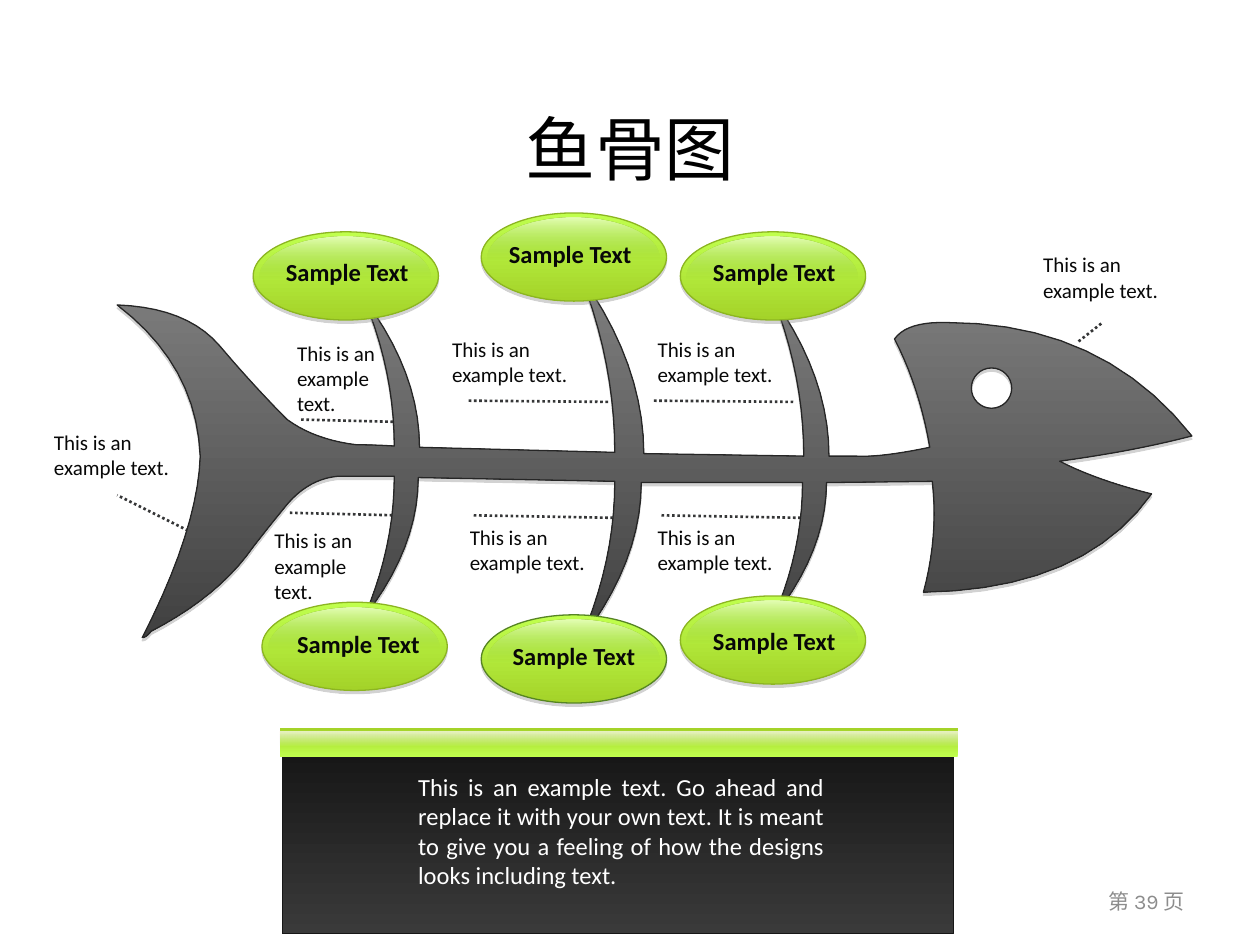
import math

import lxml.etree
import pptx
import pptx.dml.color
import pptx.enum.dml
import pptx.enum.shapes
import pptx.enum.text
import pptx.oxml.ns
import pptx.util

Inches, Pt = pptx.util.Inches, pptx.util.Pt
PP_ALIGN, MSO_ANCHOR = pptx.enum.text.PP_ALIGN, pptx.enum.text.MSO_ANCHOR
OVAL = pptx.enum.shapes.MSO_SHAPE.OVAL
RECTANGLE = pptx.enum.shapes.MSO_SHAPE.RECTANGLE

TITLE = "鱼骨图"
PAGE = "第 39 页"
CAPTION = "This is an example text."
LABEL = "Sample Text"
SUMMARY = ("This is an example text. Go ahead and replace it with your own text. "
           "It is meant to give you a feeling of how the designs looks including text.")

WIDE, NARROW = (1.28, 0.51), (1, 0.71)
CAPTIONS = [
    (0.33, 3.36, WIDE), (8.18, 1.95, WIDE),
    (2.26, 2.65, NARROW), (3.49, 2.62, WIDE), (5.12, 2.62, WIDE),
    (2.08, 4.14, NARROW), (3.63, 4.11, WIDE), (5.12, 4.11, WIDE),
]
LEADERS = [
    (2.39, 3.33, 3.23, 3.35), (3.72, 3.18, 4.84, 3.19), (5.19, 3.18, 6.31, 3.19),
    (2.3, 4.07, 3.14, 4.09), (3.76, 4.09, 4.88, 4.11), (5.25, 4.09, 6.37, 4.11),
    (8.56, 2.71, 8.75, 2.56), (1.53, 4.23, 0.93, 3.93),
]
BUBBLES = [
    ((2.01, 1.84), (2.17, 1.99), "8CB522"),
    ((3.82, 1.69), (3.94, 1.85), "8CB522"),
    ((5.4, 1.84), (5.56, 1.99), "8CB522"),
    ((2.08, 4.78), (2.26, 4.94), "8CB522"),
    ((3.82, 4.88), (3.97, 5.04), "568424"),
    ((5.4, 4.73), (5.56, 4.92), "8CB522"),
]

NOSE = (9.46, 3.46)
UPPER_HEAD = [
    ((8.75, 2.56), (7.52, 2.56)), ((7.2, 2.55), (7.1, 2.69)),
    ((7.3, 3.08), (7.38, 3.55)), ((7, 3.63), (6.8, 3.62)),
]
UPPER_BONES = [
    ((6.58, 3.62), (6.14, 2.37), (6.38, 3.62)),
    ((5.11, 3.6), (4.61, 2.19), (4.88, 3.59)),
    ((3.33, 3.55), (2.89, 2.37), (3.13, 3.54)),
]
TAIL = [
    ((2.98, 3.53), (2.83, 3.53)), ((2.5, 3.49), (2.28, 3.33)),
    ((2.02, 3.07), (1.74, 2.74)), ((1.48, 2.44), (0.93, 2.42)),
    ((1.56, 2.9), (1.59, 3.62)), ((1.57, 4.2), (1.13, 5.06)),
    ((1.16, 5.06), (1.2, 5.01)), ((1.74, 4.73), (2.01, 4.34)),
    ((2.15, 4.16), (2.29, 3.99)), ((2.46, 3.8), (2.68, 3.78)),
]
LOWER_BONES = [
    ((3.13, 3.78), (2.89, 4.9), (3.32, 3.79)),
    ((4.88, 3.82), (4.61, 5.08), (5.09, 3.83)),
    ((6.37, 3.83), (6.14, 4.9), (6.56, 3.83)),
]
JAW = (7.4, 3.82)
LOWER_HEAD = [
    ((7.45, 4.25), (7.33, 4.7)), ((8.6, 4.68), (9.14, 3.92)),
    ((8.7, 3.81), (8.41, 3.66)), ((9, 3.58), NOSE),
]
EYE_X, EYE_Y, EYE_RADIUS, EYE_SIDES = 7.87, 3.08, 0.16, 32
CURVE_STEPS = 10


def rgb(value):
    return pptx.dml.color.RGBColor.from_string(value)


def add_xml(parent, tag, **attributes):
    return lxml.etree.SubElement(parent, pptx.oxml.ns.qn(tag), attributes)


def style(shape, start, end, angle=270, outline=None, shadow=False, reach=1):
    shape.shadow.inherit = False
    shape.fill.gradient()
    shape.fill.gradient_angle = angle
    properties = shape._element.spPr
    for stop, position, (color, _) in zip(shape.fill.gradient_stops, (0, reach), (start, end)):
        stop.position = position
        stop.color.rgb = rgb(color)
    colors = properties.iter(pptx.oxml.ns.qn("a:srgbClr"))
    for element, (_, opacity) in zip(list(colors), (start, end)):
        add_xml(element, "a:alpha", val=str(opacity * 1000))
    if outline:
        shape.line.color.rgb = rgb(outline)
        shape.line.width = Pt(0.75)
    else:
        shape.line.fill.background()
    if shadow:
        effects = properties.find(pptx.oxml.ns.qn("a:effectLst"))
        outer = add_xml(effects, "a:outerShdw", blurRad="0", dist=str(Pt(1.8)),
                        dir="5400000", algn="t", rotWithShape="0")
        add_xml(add_xml(outer, "a:srgbClr", val="808080"), "a:alpha", val="35000")


def write(frame, text, size, color, font="Calibri", bold=False, align=PP_ALIGN.LEFT):
    frame.word_wrap = True
    paragraph = frame.paragraphs[0]
    paragraph.text = text
    paragraph.alignment = align
    paragraph.font.size = Pt(size)
    paragraph.font.name = font
    paragraph.font.bold = bold
    paragraph.font.color.rgb = rgb(color)


def add_text(shapes, box, *args, anchor=MSO_ANCHOR.TOP, **kwargs):
    frame = shapes.add_textbox(*map(Inches, box)).text_frame
    frame.vertical_anchor = anchor
    write(frame, *args, **kwargs)


def add_shape(shapes, kind, box, *args, **kwargs):
    style(shapes.add_shape(kind, *map(Inches, box)), *args, **kwargs)


def add_leader(shapes, ends):
    leader = shapes.add_connector(pptx.enum.shapes.MSO_CONNECTOR.STRAIGHT, *map(Inches, ends))
    leader.line.color.rgb = rgb("353637")
    leader.line.width = Pt(1.5)
    leader.line.dash_style = pptx.enum.dml.MSO_LINE.ROUND_DOT
    add_xml(leader._element.spPr, "a:effectLst")


def curve(start, control, end):
    points = []
    for step in range(1, CURVE_STEPS + 1):
        t = step / CURVE_STEPS
        points.append(tuple((1 - t) ** 2 * a + 2 * t * (1 - t) * b + t ** 2 * c
                            for a, b, c in zip(start, control, end)))
    return points


def trace(start, curves):
    points = [start]
    for control, end in curves:
        points += curve(points[-1], control, end)
    return points


def bone(first_root, tip, last_root):
    bends = [(root[0], (root[1] + tip[1]) / 2) for root in (first_root, last_root)]
    return trace(first_root, [(bends[0], tip), (bends[1], last_root)])


def add_fish(shapes):
    outline = trace(NOSE, UPPER_HEAD)
    for roots in UPPER_BONES:
        outline += bone(*roots)
    outline += trace(outline[-1], TAIL)
    for roots in LOWER_BONES:
        outline += bone(*roots)
    outline += trace(JAW, LOWER_HEAD)
    turns = [2 * math.pi * side / EYE_SIDES for side in range(EYE_SIDES)]
    eye = [(EYE_X + EYE_RADIUS * math.cos(turn), EYE_Y + EYE_RADIUS * math.sin(turn))
           for turn in turns]
    body, pupil = [[(Inches(x), Inches(y)) for x, y in ring] for ring in (outline, eye)]
    builder = shapes.build_freeform(*body[0])
    builder.add_line_segments(body[1:])
    builder.move_to(*pupil[0])
    builder.add_line_segments(pupil[1:])
    style(builder.convert_to_shape(), ("7F7F7F", 100), ("404040", 100),
          outline="262626", shadow=True)


def add_bubble(shapes, corner, label_corner, outline):
    left, top = corner
    bubble = shapes.add_group_shape().shapes
    add_shape(bubble, OVAL, (left, top, 1.47, 0.7), ("C0FF4D", 100), ("A4D329", 100),
              outline=outline, shadow=True)
    add_shape(bubble, OVAL, (left + 0.05, top + 0.04, 1.36, 0.65),
              ("FFFFFF", 59), ("70AC2E", 0), reach=0.52)
    add_text(shapes, (*label_corner, 1.25, 0.34), LABEL, 14, "080808", bold=True)


def add_summary(shapes):
    panel = shapes.add_group_shape().shapes
    add_shape(panel, RECTANGLE, (2.24, 5.98, 5.33, 1.43),
              ("3A3A3A", 100), ("171717", 100), angle=90, outline="171717")
    add_shape(panel, RECTANGLE, (2.22, 5.78, 5.38, 0.23),
              ("C0FF4D", 100), ("A4D329", 100), angle=90)
    add_shape(panel, RECTANGLE, (2.22, 5.81, 5.38, 0.11),
              ("F3F3F3", 0), ("FFFCF9", 79), angle=90)
    add_text(panel, (3.22, 6.03, 3.42, 1.08), SUMMARY, 14, "FFFFFF",
             align=PP_ALIGN.JUSTIFY, anchor=MSO_ANCHOR.BOTTOM)


def main():
    deck = pptx.Presentation()
    deck.slide_width, deck.slide_height = Inches(10), Inches(7.5)
    slide = deck.slides.add_slide(deck.slide_layouts[5])
    shapes, title = slide.shapes, slide.shapes.title
    title.left, title.top, title.width, title.height = map(Inches, (0.5, 0.78, 9, 0.78))
    title.text_frame.vertical_anchor = MSO_ANCHOR.MIDDLE
    write(title.text_frame, TITLE, 40, "000000", font="Karla", align=PP_ALIGN.CENTER)
    add_text(shapes, (7.17, 6.95, 2.33, 0.4), PAGE, 12, "8C8C8C", font="Karla",
             align=PP_ALIGN.RIGHT, anchor=MSO_ANCHOR.MIDDLE)
    for ends in LEADERS:
        add_leader(shapes, ends)
    for left, top, size in CAPTIONS:
        add_text(shapes, (left, top, *size), CAPTION, 12, "080808")
    add_fish(shapes)
    for bubble in BUBBLES:
        add_bubble(shapes, *bubble)
    add_summary(shapes)
    deck.save("out.pptx")


if __name__ == "__main__":
    main()
